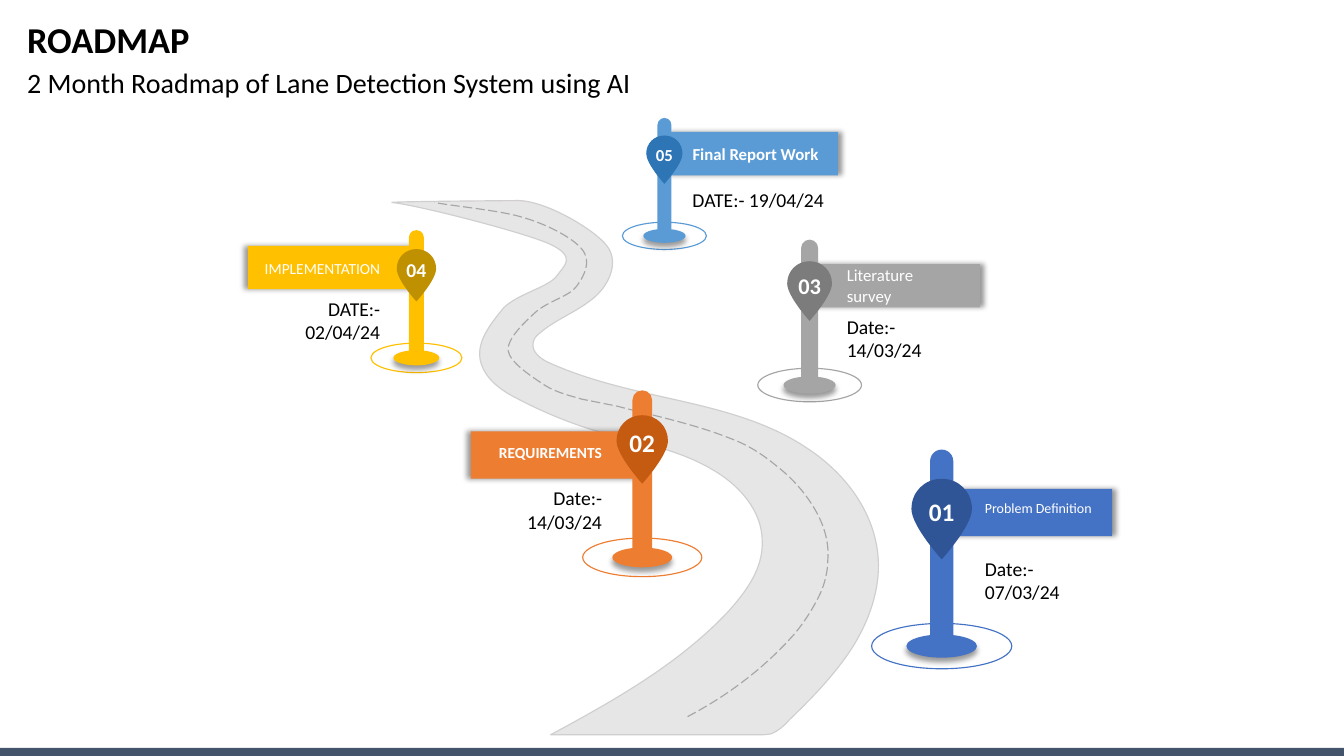
from lxml import etree
from pptx import Presentation
from pptx.dml.color import RGBColor
from pptx.enum.dml import MSO_LINE
from pptx.enum.shapes import MSO_SHAPE
from pptx.enum.text import MSO_ANCHOR, PP_ALIGN
from pptx.oxml.ns import qn
from pptx.util import Inches, Pt

RECT, ROUND, OVAL = MSO_SHAPE.RECTANGLE, MSO_SHAPE.ROUNDED_RECTANGLE, MSO_SHAPE.OVAL
LEFT, CENTER, RIGHT = PP_ALIGN.LEFT, PP_ALIGN.CENTER, PP_ALIGN.RIGHT
TOP, MIDDLE = MSO_ANCHOR.TOP, MSO_ANCHOR.MIDDLE
LONG_DASH = MSO_LINE.LONG_DASH

BLACK, WHITE = RGBColor(0, 0, 0), RGBColor(255, 255, 255)
FOOTER = RGBColor(0x44, 0x54, 0x6A)
ASPHALT = RGBColor(0xE7, 0xE6, 0xE6)
ROAD_EDGE = RGBColor(0xD0, 0xCE, 0xCE)
LANE = RGBColor(0xA6, 0xA6, 0xA6)
BLUE, NAVY = RGBColor(0x44, 0x72, 0xC4), RGBColor(0x2F, 0x55, 0x97)
ORANGE, RUST = RGBColor(0xED, 0x7D, 0x31), RGBColor(0xC5, 0x5A, 0x11)
GRAY, SLATE = RGBColor(0xA5, 0xA5, 0xA5), RGBColor(0x7C, 0x7C, 0x7C)
GOLD, OCHRE = RGBColor(0xFF, 0xC0, 0x00), RGBColor(0xBF, 0x90, 0x00)
SKY, STEEL = RGBColor(0x5B, 0x9B, 0xD5), RGBColor(0x2E, 0x75, 0xB6)

# Content: boxes are left, top, width, height in inches
TITLE = "ROADMAP"
SUBTITLE = "2 Month Roadmap of Lane Detection System using AI"
MILESTONES = [
    dict(number="01", number_size=18, label="Problem Definition", label_size=10, bold=False,
         date="Date:-\n07/03/24", color=BLUE, dark=NAVY, side=RIGHT, foot=(9.34, 6.41), scale=1,
         sign=(9.31, 4.85, 1.72, 0.47), label_box=(9.67, 4.9, 1.27, 0.27),
         date_box=(9.67, 5.47, 1.27, 0.57)),
    dict(number="02", number_size=18, label="REQUIREMENTS", label_size=11, bold=True,
         date="Date:-\n14/03/24", color=ORANGE, dark=RUST, side=LEFT, foot=(6.37, 5.53), scale=0.85,
         sign=(4.67, 4.28, 1.7, 0.47), label_box=(4.79, 4.34, 1.28, 0.29),
         date_box=(4.58, 4.77, 1.49, 0.57)),
    dict(number="03", number_size=16, label="Literature survey", label_size=12, bold=False,
         date="Date:- 14/03/24", color=GRAY, dark=SLATE, side=RIGHT, foot=(8.03, 3.82), scale=0.74,
         sign=(8, 2.62, 1.72, 0.43), label_box=(8.3, 2.58, 1.15, 0.5),
         date_box=(8.3, 3.07, 1.41, 0.57)),
    dict(number="04", number_size=14, label="IMPLEMENTATION", label_size=11, bold=False,
         date="DATE:- 02/04/24", color=GOLD, dark=OCHRE, side=LEFT, foot=(4.13, 3.55), scale=0.65,
         sign=(2.46, 2.44, 1.7, 0.43), label_box=(2.46, 2.52, 1.41, 0.29),
         date_box=(2.37, 2.89, 1.5, 0.57)),
    dict(number="05", number_size=12, label="Final Report Work", label_size=12, bold=True,
         date="DATE:- 19/04/24", color=SKY, dark=STEEL, side=RIGHT, foot=(6.59, 2.34), scale=0.6,
         sign=(6.59, 1.31, 1.72, 0.43), label_box=(6.77, 1.38, 1.48, 0.3),
         date_box=(6.77, 1.81, 1.54, 0.34)),
]

# Outlines: a start point, then Bezier curves (two controls and an end) or line ends
ROAD = (5.46, 7.29), [
    (6.09, 6.95, 6.73, 6.59, 7.22, 6.07), (7.4, 5.87, 7.57, 5.64, 7.56, 5.37),
    (7.56, 5.06, 7.32, 4.8, 7.05, 4.65), (6.69, 4.44, 6.26, 4.38, 5.86, 4.26),
    (5.61, 4.18, 5.37, 4.08, 5.14, 3.96), (4.98, 3.88, 4.82, 3.77, 4.77, 3.6),
    (4.71, 3.4, 4.87, 3.21, 4.99, 3.06), (5.12, 2.92, 5.44, 2.85, 5.52, 2.74),
    (5.59, 2.64, 5.73, 2.55, 5.45, 2.42), (5.18, 2.3, 4.12, 2.03, 3.89, 2.01),
    (3.79, 2, 5.1, 1.99, 5.12, 1.99), (5.4, 1.98, 5.9, 2.28, 6.02, 2.44),
    (6.15, 2.61, 6.03, 2.85, 5.87, 2.97), (5.71, 3.1, 5.51, 3.17, 5.36, 3.3),
    (5.33, 3.32, 5.3, 3.35, 5.29, 3.39), (5.26, 3.49, 5.37, 3.57, 5.47, 3.61),
    (5.88, 3.79, 6.32, 3.88, 6.76, 3.98), (7.2, 4.08, 7.64, 4.2, 8.01, 4.45),
    (8.39, 4.7, 8.68, 5.09, 8.71, 5.54), (8.73, 5.85, 8.62, 6.16, 8.45, 6.43),
    (8.28, 6.69, 8.06, 6.92, 7.83, 7.14), (7.78, 7.2, 7.72, 7.25, 7.65, 7.28),
    (7.6, 7.29, 7.55, 7.29, 7.5, 7.29), (5.46, 7.29)]
CENTER_LINE = (6.82, 7.11), [
    (7.22, 6.9, 7.58, 6.63, 7.88, 6.29), (7.98, 6.17, 8.07, 6.03, 8.14, 5.88),
    (8.18, 5.79, 8.21, 5.67, 8.21, 5.57), (8.23, 5.36, 8.16, 5.17, 8.05, 5),
    (7.96, 4.86, 7.84, 4.73, 7.71, 4.63), (7.58, 4.52, 7.43, 4.42, 7.27, 4.36),
    (6.9, 4.21, 6.51, 4.13, 6.12, 4.03), (5.77, 3.96),
    (5.71, 3.94, 5.52, 3.9, 5.4, 3.82), (5.28, 3.74, 5.06, 3.6, 5.04, 3.48),
    (5.03, 3.36, 5.2, 3.2, 5.31, 3.1), (5.43, 2.99, 5.65, 2.94, 5.72, 2.84),
    (5.8, 2.73, 5.87, 2.59, 5.77, 2.47), (5.68, 2.36, 5.42, 2.22, 5.16, 2.15),
    (4.96, 2.09, 4.47, 2.04, 4.31, 2.01)]
PIN = (0.3, 0.3), [
    (0.3, 0.47, 0, 0.8, 0, 0.8), (0, 0.8, -0.3, 0.47, -0.3, 0.3),
    (-0.3, 0.13, -0.17, 0, 0, 0), (0.17, 0, 0.3, 0.13, 0.3, 0.3)]

prs = Presentation()
prs.slide_width, prs.slide_height = Inches(13.33), Inches(7.5)
shapes = prs.slides.add_slide(prs.slide_layouts[6]).shapes


def paint(shape, fill=None, line=None, dash=None, shadow_angle=None):
    shape.shadow.inherit = False
    if fill is None:
        shape.fill.background()
    else:
        shape.fill.solid()
        shape.fill.fore_color.rgb = fill
    if line is None:
        shape.line.fill.background()
    else:
        shape.line.color.rgb = line
        shape.line.width = Pt(0.82)
        if dash:
            shape.line.dash_style = dash
    if shadow_angle is not None:
        effects = shape._element.spPr.find(qn("a:effectLst"))
        shadow = etree.SubElement(effects, qn("a:outerShdw"), blurRad=str(Pt(4)),
                                  dist=str(Pt(3)), dir=str(shadow_angle * 60000))
        black = etree.SubElement(shadow, qn("a:srgbClr"), val="000000")
        etree.SubElement(black, qn("a:alpha"), val="40000")
    return shape


def add_preset(preset, box, **look):
    return paint(shapes.add_shape(preset, *map(Inches, box)), **look)


def add_outline(outline, origin=(0, 0), scale=1, close=True, **look):
    def place(x, y):
        return Inches(origin[0] + x * scale), Inches(origin[1] + y * scale)

    start, segments = outline
    builder = shapes.build_freeform(*place(*start))
    builder.add_line_segments([place(*segment[-2:]) for segment in segments], close=close)
    shape = builder.convert_to_shape()
    # Bend the straight segments into Bezier curves
    straight = list(shape._element.iter(qn("a:lnTo")))
    for element, segment in zip(straight, segments):
        if len(segment) == 6:
            curve = etree.Element(qn("a:cubicBezTo"))
            for i in (0, 2, 4):
                x, y = place(*segment[i:i + 2])
                etree.SubElement(curve, qn("a:pt"), x=str(x - shape.left), y=str(y - shape.top))
            element.getparent().replace(element, curve)
    return paint(shape, **look)


def add_text(text, box, size, color=BLACK, bold=False, align=LEFT, anchor=MIDDLE,
             wrap=True, spacing=None):
    frame = shapes.add_textbox(*map(Inches, box)).text_frame
    frame.word_wrap = wrap
    frame.vertical_anchor = anchor
    for i, line in enumerate(text.split("\n")):
        paragraph = frame.add_paragraph() if i else frame.paragraphs[0]
        paragraph.alignment = align
        if spacing:
            paragraph.line_spacing = spacing
        run = paragraph.add_run()
        run.text = line
        run.font.name, run.font.size, run.font.bold = "Calibri", Pt(size), bold
        run.font.color.rgb = color


def centered(x, y, width, height, scale=1):
    return x - width * scale / 2, y - height * scale / 2, width * scale, height * scale


def add_milestone(m):
    x, y = m["foot"]
    scale, color, size = m["scale"], m["color"], m["number_size"]
    pole_top = y - 1.95 * scale
    pin_top = pole_top + 0.29 * scale
    on_right = m["side"] == RIGHT
    # Signpost
    add_preset(RECT, m["sign"], fill=color, shadow_angle=0 if on_right else 180)
    add_preset(OVAL, centered(x, y, 1.39, 0.45, scale), line=color)
    add_preset(OVAL, centered(x, y, 0.7, 0.23, scale), fill=color, shadow_angle=90)
    pole = add_preset(ROUND, (x - 0.115 * scale, pole_top, 0.23 * scale, 1.95 * scale), fill=color)
    pole.adjustments[0] = 0.5
    add_outline(PIN, (x, pin_top), scale, fill=m["dark"])
    # Wording
    number_box = centered(x, pin_top + 0.32 * scale, 0.2 + size / 70, 0.1 + size / 59)
    add_text(m["number"], number_box, size, color=WHITE, bold=True, align=CENTER, wrap=False)
    align = LEFT if on_right else RIGHT
    add_text(m["label"], m["label_box"], m["label_size"], color=WHITE, bold=m["bold"], align=align)
    add_text(m["date"], m["date_box"], 14, align=align)


# Footer bar and headings
add_preset(RECT, (0, 7.42, 13.33, 0.08), fill=FOOTER)
add_text(TITLE, (0.17, 0.17, 11.5, 0.48), 26, bold=True, spacing=0.9)
add_text(SUBTITLE, (0.17, 0.64, 7.36, 0.64), 20, anchor=TOP, spacing=0.9)

# The road passes over the first signpost's ring and under the others
add_milestone(MILESTONES[0])
add_outline(ROAD, fill=ASPHALT, line=ROAD_EDGE)
add_outline(CENTER_LINE, close=False, line=LANE, dash=LONG_DASH)
for milestone in MILESTONES[1:]:
    add_milestone(milestone)

prs.save("out.pptx")
